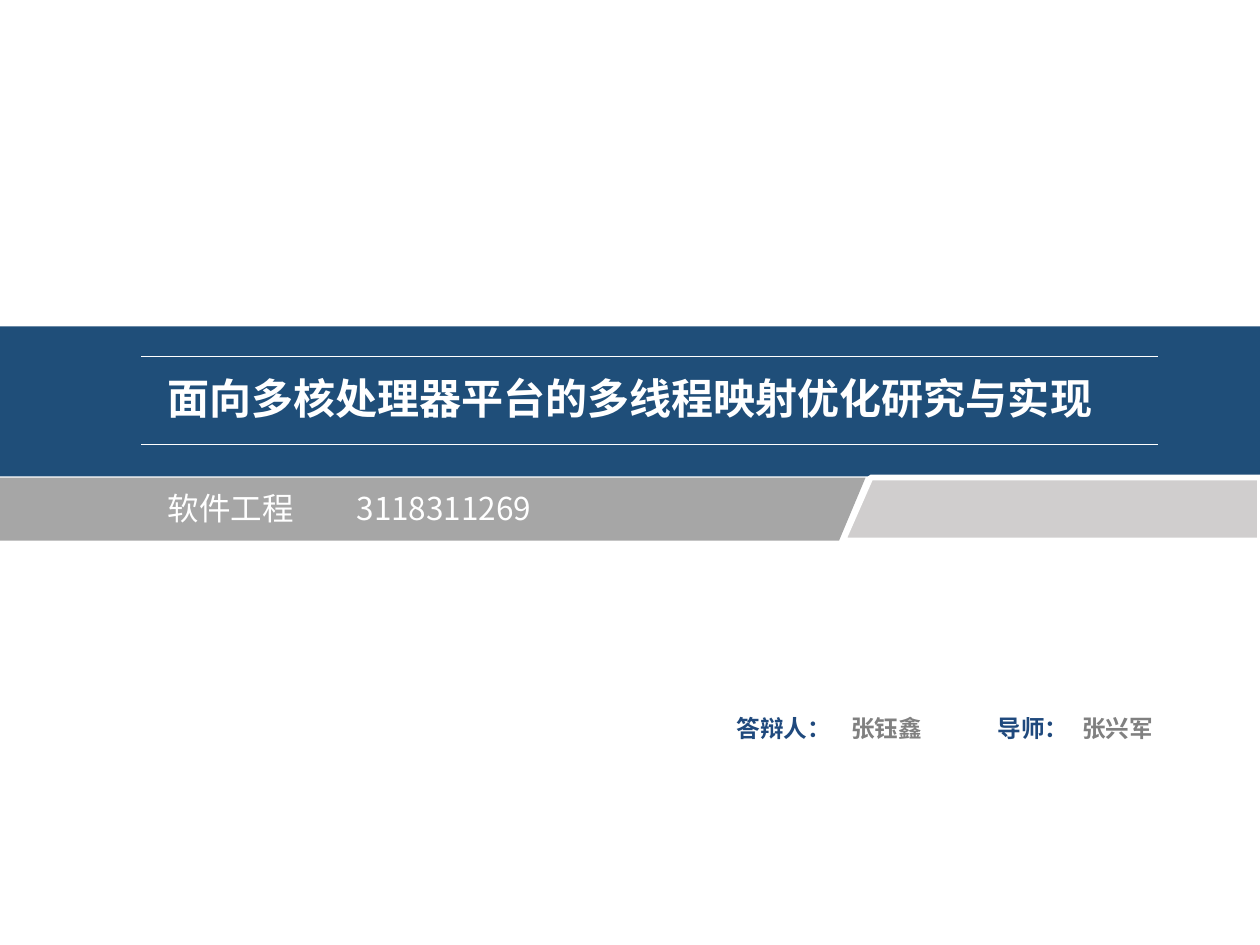
from lxml.etree import SubElement
from pptx import Presentation
from pptx.dml.color import RGBColor
from pptx.enum.shapes import MSO_CONNECTOR, MSO_SHAPE
from pptx.enum.text import MSO_ANCHOR, PP_ALIGN
from pptx.oxml.ns import qn
from pptx.util import Inches, Pt

WIDTH, HEIGHT = 10, 7.5
FONT = "Noto Sans CJK SC"
WHITE = RGBColor(0xFF, 0xFF, 0xFF)
NAVY = RGBColor(0x1F, 0x4E, 0x79)
LABEL_BLUE = RGBColor(0x1F, 0x49, 0x7D)
NAME_GRAY = RGBColor(0x80, 0x80, 0x80)
BAND_GRAY = RGBColor(0xA6, 0xA6, 0xA6)
PALE_GRAY = RGBColor(0xD0, 0xCE, 0xCE)

BAND_TOP, BAND_BOTTOM = 3.79, 4.29
RULE_LEFT, RULE_RIGHT = 1.12, 9.19
PEOPLE_TOP = 5.62


def paint(shape, fill, line=None, line_width=0):
    shape.shadow.inherit = False
    shape.fill.solid()
    shape.fill.fore_color.rgb = fill
    if line is None:
        shape.line.fill.background()
    else:
        shape.line.color.rgb = line
        shape.line.width = Pt(line_width)


def add_polygon(slide, points, fill, line=None, line_width=0):
    corners = [(Inches(x), Inches(y)) for x, y in points]
    builder = slide.shapes.build_freeform(*corners[0])
    builder.add_line_segments(corners[1:], close=True)
    paint(builder.convert_to_shape(), fill, line, line_width)


def add_rule(slide, y):
    rule = slide.shapes.add_connector(
        MSO_CONNECTOR.STRAIGHT,
        Inches(RULE_LEFT), Inches(y), Inches(RULE_RIGHT), Inches(y))
    rule.line.color.rgb = WHITE
    rule.line.width = Pt(0.75)
    SubElement(rule.element.spPr, qn("a:effectLst"))


def write(shape, text, size, color, bold=False, align=PP_ALIGN.LEFT, tab=None):
    paragraph = shape.text_frame.paragraphs[0]
    paragraph.text = text
    paragraph.alignment = align
    if tab:
        properties = paragraph._p.get_or_add_pPr()
        tabs = SubElement(properties, qn("a:tabLst"))
        SubElement(tabs, qn("a:tab"), pos=str(Inches(tab)), algn="l")
    font = paragraph.font
    font.name = FONT
    font.size = Pt(size)
    font.bold = bold
    font.color.rgb = color
    SubElement(font._element, qn("a:ea"), typeface=FONT)


def add_text(slide, left, top, width, height, wrap=True):
    box = slide.shapes.add_textbox(*map(Inches, (left, top, width, height)))
    box.text_frame.word_wrap = wrap
    return box


def add_title(slide, text):
    title = slide.shapes.title
    title.left, title.top = Inches(0.65), Inches(2.91)
    title.width, title.height = Inches(WIDTH - 2 * 0.65), Inches(0.5)
    title.text_frame.vertical_anchor = MSO_ANCHOR.TOP
    write(title, text, 24, WHITE, bold=True, align=PP_ALIGN.CENTER)


def add_person(slide, role, role_left, role_width, name, name_left):
    for text, left, width, color in (
            (name, name_left, 0.77, NAME_GRAY),
            (role, role_left, role_width, LABEL_BLUE)):
        box = add_text(slide, left, PEOPLE_TOP, width, 0.33, wrap=False)
        write(box, text, 13.5, color, bold=True)


def add_bands(slide):
    banner = slide.shapes.add_shape(
        MSO_SHAPE.RECTANGLE, 0, Inches(2.59), Inches(WIDTH), Inches(1.19))
    paint(banner, NAVY)
    add_polygon(slide, [(6.87, BAND_TOP), (6.66, BAND_BOTTOM),
                        (0, BAND_BOTTOM), (0, BAND_TOP)], BAND_GRAY)
    add_polygon(slide, [(6.91, BAND_TOP), (6.69, BAND_BOTTOM),
                        (WIDTH, BAND_BOTTOM), (WIDTH, BAND_TOP)],
                PALE_GRAY, WHITE, 3.25)


def main():
    presentation = Presentation()
    presentation.slide_width = Inches(WIDTH)
    presentation.slide_height = Inches(HEIGHT)
    slide = presentation.slides.add_slide(presentation.slide_layouts[5])
    title_element = slide.shapes.title.element

    add_bands(slide)
    slide.shapes.element.append(title_element)
    add_title(slide, "面向多核处理器平台的多线程映射优化研究与实现")

    subtitle = add_text(slide, RULE_LEFT, 3.83, 3.31, 0.4)
    subtitle.text_frame.margin_left = Inches(0.21)
    write(subtitle, "软件工程\t3118311269", 18, WHITE, tab=1.5)

    for y in (2.83, 3.53):
        add_rule(slide, y)

    add_person(slide, "答辩人：", 5.75, 0.96, "张钰鑫", 6.66)
    add_person(slide, "导师：", 7.82, 0.77, "张兴军", 8.49)
    presentation.save("out.pptx")


if __name__ == "__main__":
    main()
